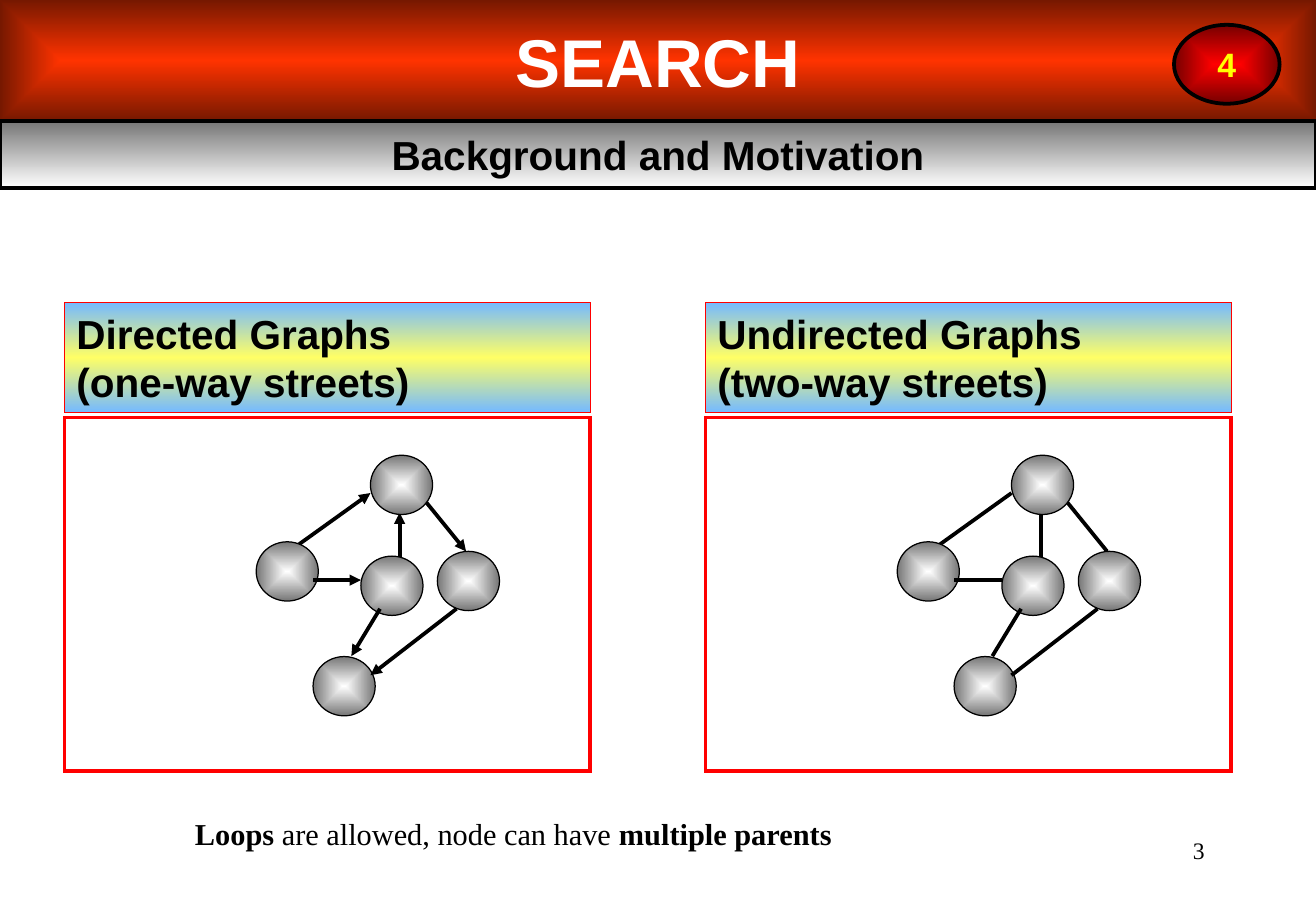
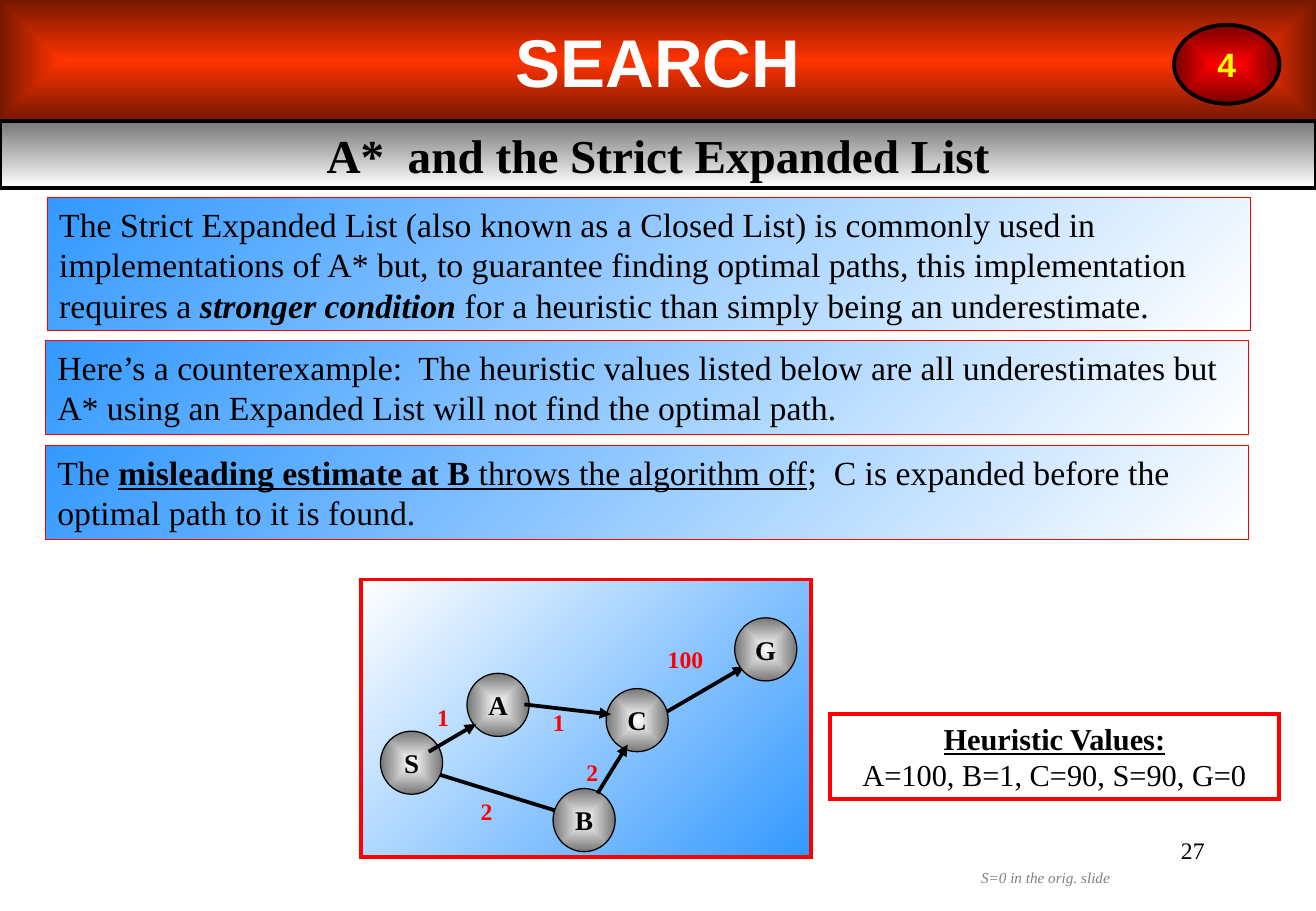
import lxml.etree
import pptx
import pptx.dml.color
import pptx.enum.shapes
import pptx.enum.text
import pptx.oxml.ns
import pptx.util

BLACK = pptx.dml.color.RGBColor(0x00, 0x00, 0x00)
WHITE = pptx.dml.color.RGBColor(0xFF, 0xFF, 0xFF)
RED = pptx.dml.color.RGBColor(0xFF, 0x00, 0x00)
DARK_RED = pptx.dml.color.RGBColor(0x76, 0x00, 0x00)
ORANGE = pptx.dml.color.RGBColor(0xFF, 0x33, 0x00)
BROWN = pptx.dml.color.RGBColor(0x76, 0x18, 0x00)
YELLOW = pptx.dml.color.RGBColor(0xFF, 0xFF, 0x00)
PALE_YELLOW = pptx.dml.color.RGBColor(0xFF, 0xFF, 0x66)
SKY = pptx.dml.color.RGBColor(0x75, 0xBA, 0xFF)
BLUE = pptx.dml.color.RGBColor(0x33, 0x99, 0xFF)
DARK_GRAY = pptx.dml.color.RGBColor(0x76, 0x76, 0x76)
NOTE_GRAY = pptx.dml.color.RGBColor(0x80, 0x80, 0x80)

SANS = "Arial"
SERIF = "Times New Roman"
THIN = 0.75
THICK = 2.25
RECTANGLE = pptx.enum.shapes.MSO_SHAPE.RECTANGLE
OVAL = pptx.enum.shapes.MSO_SHAPE.OVAL
LEFT = pptx.enum.text.PP_ALIGN.LEFT
CENTER = pptx.enum.text.PP_ALIGN.CENTER
RIGHT = pptx.enum.text.PP_ALIGN.RIGHT
TOP = pptx.enum.text.MSO_ANCHOR.TOP
MIDDLE = pptx.enum.text.MSO_ANCHOR.MIDDLE


def add_child(parent, tag, **attributes):
    return lxml.etree.SubElement(parent, pptx.oxml.ns.qn(tag), **attributes)


def add_line_part(shape, tag, **attributes):
    outline = shape.element.spPr.find(pptx.oxml.ns.qn("a:ln"))
    add_child(outline, tag, **attributes)


def to_cm(values):
    return [pptx.util.Cm(value) for value in values]


def write_text(box, paragraphs, size=20, font=SERIF, color=BLACK, styles="",
               align=LEFT, anchor=TOP, wrap=True):
    frame = box.text_frame
    frame.word_wrap = wrap
    frame.vertical_anchor = anchor
    for index, spans in enumerate(paragraphs):
        para = frame.paragraphs[0] if index == 0 else frame.add_paragraph()
        para.alignment = align
        for text, own_styles in [(spans, styles)] if isinstance(spans, str) else spans:
            span = para.add_run()
            span.text = text
            span.font.name = font
            span.font.size = pptx.util.Pt(size)
            span.font.color.rgb = color
            span.font.bold = "b" in own_styles
            span.font.italic = "i" in own_styles
            span.font.underline = "u" in own_styles


class SearchDeck:
    def __init__(self):
        self.deck = pptx.Presentation()
        self.deck.slide_width, self.deck.slide_height = to_cm((27.53, 19.05))
        self.page = None

    def start_page(self, subtitle, number, size, font):
        self.page = self.deck.slides.add_slide(self.deck.slide_layouts[6])
        self.label((19.71, 17.35, 5.74, 1.27), str(number), size=14, align=RIGHT, wrap=True)
        band = self.shape((0, 0, 27.53, 2.53), (ORANGE, BROWN))
        write_text(band, ["SEARCH"], size=40, font=SANS, color=WHITE, styles="b",
                   align=CENTER, anchor=MIDDLE)
        bar = self.shape((0, 2.53, 27.53, 1.4), (DARK_GRAY, WHITE), BLACK, THICK, angle=90)
        write_text(bar, [subtitle], size=size, font=font, styles="b",
                   align=CENTER, anchor=MIDDLE)
        badge = self.shape((24.56, 0.52, 2.21, 1.65), (RED, DARK_RED), BLACK, THICK, kind=OVAL)
        write_text(badge, ["4"], font=SANS, color=YELLOW, styles="b",
                   align=CENTER, anchor=MIDDLE, wrap=False)

    def shape(self, area, colors=(), line=None, width=THIN, angle=None, kind=RECTANGLE):
        shape = self.page.shapes.add_shape(kind, *to_cm(area))
        shape.shadow.inherit = False
        shape.fill.background()
        if colors:
            self.gradient(shape, colors, angle)
        if line is None:
            shape.line.fill.background()
        else:
            shape.line.color.rgb = line
            shape.line.width = pptx.util.Pt(width)
            add_line_part(shape, "a:miter", lim="800000")
        return shape

    def gradient(self, shape, colors, angle):
        properties = shape.element.spPr
        fill = lxml.etree.Element(pptx.oxml.ns.qn("a:gradFill"), rotWithShape="1")
        stops = add_child(fill, "a:gsLst")
        for index, color in enumerate(colors):
            position = 100000 * index // (len(colors) - 1)
            stop = add_child(stops, "a:gs", pos=str(position))
            add_child(stop, "a:srgbClr", val=str(color))
        if angle is None:
            center = add_child(fill, "a:path", path="rect")
            add_child(center, "a:fillToRect", **dict.fromkeys("ltrb", "50000"))
        else:
            add_child(fill, "a:lin", ang=str(angle * 60000), scaled="1")
        properties.replace(properties.find(pptx.oxml.ns.qn("a:noFill")), fill)

    def label(self, area, *paragraphs, align=CENTER, wrap=False, **style):
        box = self.page.shapes.add_textbox(*to_cm(area))
        write_text(box, paragraphs, align=align, wrap=wrap, **style)

    def edge(self, start, end, arrow):
        straight = pptx.enum.shapes.MSO_CONNECTOR.STRAIGHT
        edge = self.page.shapes.add_connector(straight, *to_cm((*start, *end)))
        edge.line.color.rgb = BLACK
        edge.line.width = pptx.util.Pt(THICK)
        if arrow:
            add_line_part(edge, "a:tailEnd", type="triangle")
        add_child(edge.element.spPr, "a:effectLst")

    def graph(self, under, nodes, over, node_height, arrow=True, shift=0):
        def draw_edges(edges):
            for x1, y1, x2, y2 in edges:
                self.edge((x1 + shift, y1), (x2 + shift, y2), arrow)

        draw_edges(under)
        for name, left, top in nodes:
            node = self.shape((left + shift, top, 1.3, node_height), (WHITE, DARK_GRAY),
                              BLACK, kind=OVAL)
            if name:
                write_text(node, [name], size=16, styles="b", align=CENTER,
                           anchor=MIDDLE, wrap=False)
        draw_edges(over)


def build_graph_kinds(deck):
    deck.start_page("Background and Motivation", 3, 24, SANS)
    under = [(8.36, 12.12, 8.36, 10.72), (5.77, 11.73, 7.75, 10.31),
             (8.76, 10.31, 9.75, 11.53)]
    nodes = [("", 7.75, 9.52), ("", 5.36, 11.33), ("", 7.55, 11.63),
             ("", 9.15, 11.53), ("", 6.55, 13.73)]
    over = [(6.55, 12.13, 7.55, 12.13), (7.95, 12.73, 7.35, 13.72),
            (9.55, 12.73, 7.75, 14.12)]
    columns = [("Directed Graphs", "(one-way streets)", True),
               ("Undirected Graphs", "(two-way streets)", False)]
    for index, (title, streets, arrow) in enumerate(columns):
        shift = 13.41 * index
        heading = deck.shape((1.35 + shift, 6.33, 11, 2.29), (SKY, PALE_YELLOW, SKY),
                             RED, angle=90)
        write_text(heading, [title, streets], size=24, font=SANS, styles="b")
        deck.graph(under, nodes, over, 1.24, arrow, shift)
        deck.shape((1.35 + shift, 8.73, 11, 7.4), line=RED, width=THICK)
    deck.label((3.82, 16.92, 13.84, 1.02),
               [("Loops", "b"), (" are allowed, node can have ", ""),
                ("multiple parents", "b")], size=18)


def build_expanded_list(deck):
    deck.start_page("A*  and the Strict Expanded List", 27, 28, SERIF)
    statements = [
        (0.99, 4.13, 2.79, [
            ("The Strict Expanded List (also known as a Closed List) is commonly used in "
             "implementations of A* but, to guarantee finding optimal paths, this "
             "implementation requires a ", ""),
            ("stronger condition", "bi"),
            (" for a heuristic than simply being an underestimate.", "")]),
        (0.95, 7.12, 1.96,
            "Here’s a counterexample:  The heuristic values listed below are all "
            "underestimates but A* using an Expanded List will not find the optimal path."),
        (0.95, 9.32, 1.96, [
            ("The ", ""), ("misleading estimate at B ", "bu"),
            ("throws the algorithm off", "u"),
            (";  C is expanded before the optimal path to it is found.", "")]),
    ]
    for left, top, height, statement in statements:
        box = deck.shape((left, top, 25.17, height), (BLUE, WHITE), RED, angle=45)
        write_text(box, [statement])

    deck.shape((7.55, 12.12, 9.42, 5.8), (WHITE, BLUE), RED, THICK, angle=45)
    deck.graph(
        under=[(13.56, 15.11, 15.57, 13.94), (8.97, 16.13, 12.17, 17.12)],
        nodes=[("A", 9.77, 14.08), ("C", 12.68, 14.4), ("G", 15.37, 12.92),
               ("S", 7.96, 15.29), ("B", 11.57, 16.49)],
        over=[(12.5, 16.59, 13.13, 15.57), (10.97, 14.73, 12.78, 14.94),
              (8.97, 15.72, 9.96, 15.14)],
        node_height=1.32)
    costs = [("1", 9.27, 14.58), ("1", 11.69, 14.68), ("2", 10.18, 16.54),
             ("100", 14.34, 13.36), ("2", 12.39, 15.73)]
    cost_width = 1.8
    for cost, middle, top in costs:
        deck.label((middle - cost_width / 2, top, cost_width, 0.86), cost,
                   size=14, color=RED, styles="b")

    values = deck.shape((17.36, 14.93, 9.4, 1.78), line=RED, width=THICK)
    write_text(values, [[("Heuristic Values:", "bu")], "A=100, B=1, C=90, S=90, G=0"],
               size=18, align=CENTER)
    deck.label((20.27, 18.03, 3.2, 0.64), "S=0 in the orig. slide",
               size=9, color=NOTE_GRAY, styles="i")


def main():
    search = SearchDeck()
    build_graph_kinds(search)
    build_expanded_list(search)
    search.deck.save("out.pptx")


if __name__ == "__main__":
    main()
